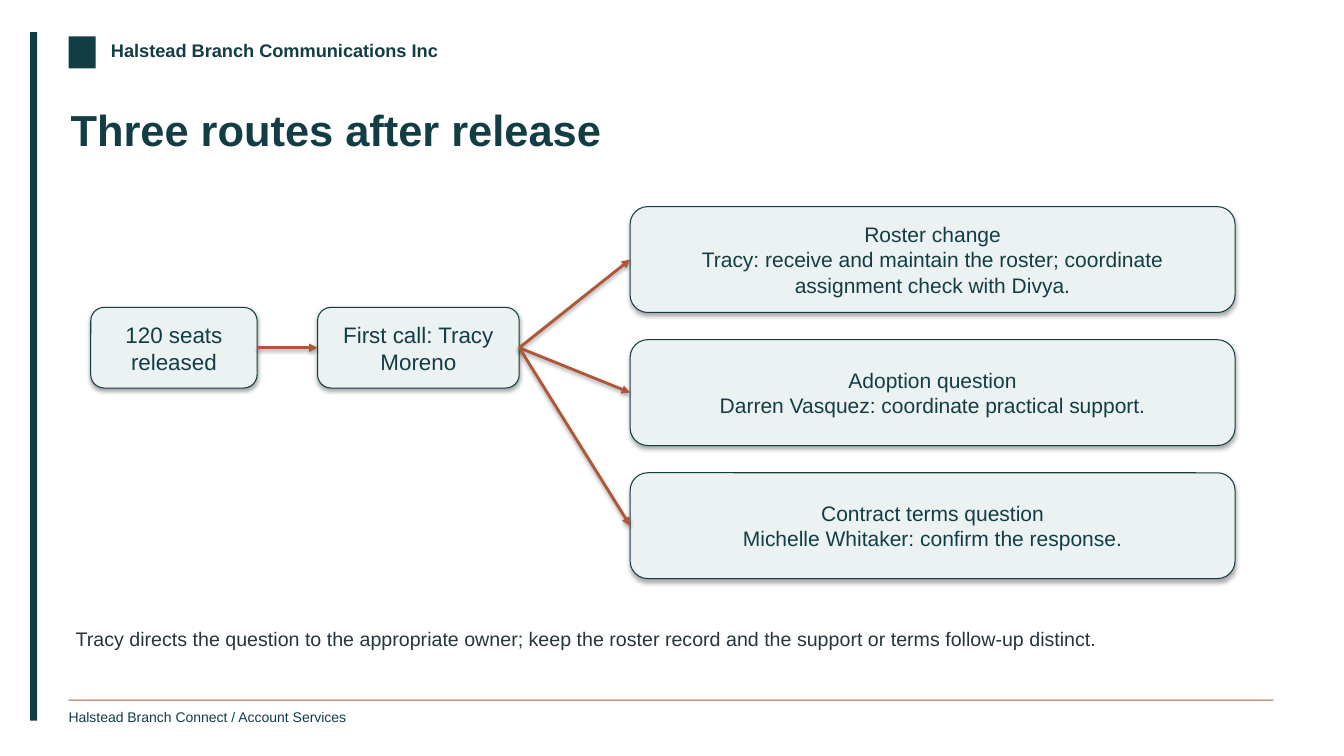
import pptx
import pptx.util
import pptx.dml.color
import pptx.enum.shapes
import pptx.enum.text
import pptx.oxml
import pptx.oxml.ns

RGBColor = pptx.dml.color.RGBColor
TEAL = RGBColor(0x13, 0x3D, 0x45)
RUST = RGBColor(0xAF, 0x56, 0x36)
MIST = RGBColor(0xEB, 0xF2, 0xF1)
INK = RGBColor(0x26, 0x35, 0x3B)
KIND = pptx.enum.shapes.MSO_SHAPE
ALIGN = pptx.enum.text.PP_ALIGN
LEFT, RIGHT = 1, 3


def write(frame, text, size=15, color=TEAL, bold=False, align=ALIGN.LEFT, plain=False):
    """Fill a text frame, one paragraph per line, in one format."""
    frame.text = text
    frame.word_wrap = True
    for para in frame.paragraphs:
        if plain:
            props = para._p.get_or_add_pPr()
            props.set("marL", "0")
            props.set("indent", "0")
            props.append(pptx.oxml.parse_xml(
                f'<a:buNone {pptx.oxml.ns.nsdecls("a")}/>'))
            para.space_before = pptx.util.Pt(0)
        para.alignment = align
        font = para.font
        font.name, font.size, font.bold = "Arial", pptx.util.Pt(size), bold
        font.color.rgb = color


class Page:
    """Hold the slide and its style on a grid of half-inch cells."""

    cell = 0.5

    def __init__(self, deck):
        self.slide = deck.slides.add_slide(deck.slide_layouts[1])
        self.shapes = self.slide.shapes

    def area(self, *cells):
        """Turn columns and rows into lengths."""
        return [pptx.util.Inches(n * self.cell) for n in cells]

    def bare(self, frame):
        """Clear the margins and start the text at the top."""
        frame.margin_left = frame.margin_right = 0
        frame.margin_top = frame.margin_bottom = 0
        frame.vertical_anchor = pptx.enum.text.MSO_ANCHOR.TOP
        frame.auto_size = pptx.enum.text.MSO_AUTO_SIZE.NONE

    def hold(self, index, cells, text, **form):
        """Move a placeholder and write in it."""
        item = self.slide.placeholders[index]
        item.left, item.top, item.width, item.height = self.area(*cells)
        self.bare(item.text_frame)
        write(item.text_frame, text, **form)

    def label(self, cells, text, **form):
        """Add a text box."""
        frame = self.shapes.add_textbox(*self.area(*cells)).text_frame
        self.bare(frame)
        write(frame, text, **form)

    def bar(self, cells, color):
        """Add a flat rectangle."""
        item = self.shapes.add_shape(KIND.RECTANGLE, *self.area(*cells))
        item.fill.solid()
        item.fill.fore_color.rgb = color
        item.line.fill.background()
        item.shadow.inherit = False

    def box(self, cells, text, **form):
        """Add a rounded box that keeps the theme shadow."""
        item = self.shapes.add_shape(KIND.ROUNDED_RECTANGLE, *self.area(*cells))
        item.fill.solid()
        item.fill.fore_color.rgb = MIST
        item.line.color.rgb = TEAL
        item.line.width = pptx.util.Pt(0.75)
        write(item.text_frame, text, align=ALIGN.CENTER, **form)
        return item

    def arrow(self, start, end):
        """Join two boxes, right side to left side."""
        link = self.shapes.add_connector(
            pptx.enum.shapes.MSO_CONNECTOR.STRAIGHT, 0, 0, 0, 0)
        link.begin_connect(start, RIGHT)
        link.end_connect(end, LEFT)
        link.line.color.rgb = RUST
        link.line.width = pptx.util.Pt(2)
        link.line._get_or_add_ln().append(pptx.oxml.parse_xml(
            f'<a:tailEnd {pptx.oxml.ns.nsdecls("a")} type="triangle"/>'))


def main():
    """Build and save the slide."""
    deck = pptx.Presentation()
    deck.slide_width = pptx.util.Inches(13.33)
    deck.slide_height = pptx.util.Inches(7.5)
    page = Page(deck)

    page.bar((0.6, 0.64, 0.14, 13.66), TEAL)
    page.bar((1.36, 0.72, 0.54, 0.64), TEAL)
    page.label((2.2, 0.78, 7.1, 0.54), "Halstead Branch Communications Inc",
               size=13, bold=True)
    page.bar((1.36, 13.88, 23.9, 0.02), RUST)
    page.label((1.36, 14.06, 6.4, 0.46),
               "Halstead Branch Connect / Account Services", size=10)

    page.hold(0, (1.4, 2.04, 23.8, 1.72), "Three routes after release",
              size=31, bold=True)
    page.hold(1, (1.5, 12.44, 23.64, 0.88),
              "Tracy directs the question to the appropriate owner; keep the "
              "roster record and the support or terms follow-up distinct.",
              size=14, color=INK, plain=True)

    seats = page.box((1.8, 6.1, 3.3, 1.6), "120 seats released", size=16)
    call = page.box((6.3, 6.1, 4, 1.6), "First call: Tracy Moreno", size=16)
    routes = (
        "Roster change\nTracy: receive and maintain the roster; "
        "coordinate assignment check with Divya.",
        "Adoption question\nDarren Vasquez: coordinate practical support.",
        "Contract terms question\nMichelle Whitaker: confirm the response.",
    )
    ends = [page.box((12.5, 4.1 + 2.64 * row, 12, 2.1), text)
            for row, text in enumerate(routes)]
    page.arrow(seats, call)
    for end in ends:
        page.arrow(call, end)

    deck.save("out.pptx")


if __name__ == "__main__":
    main()
